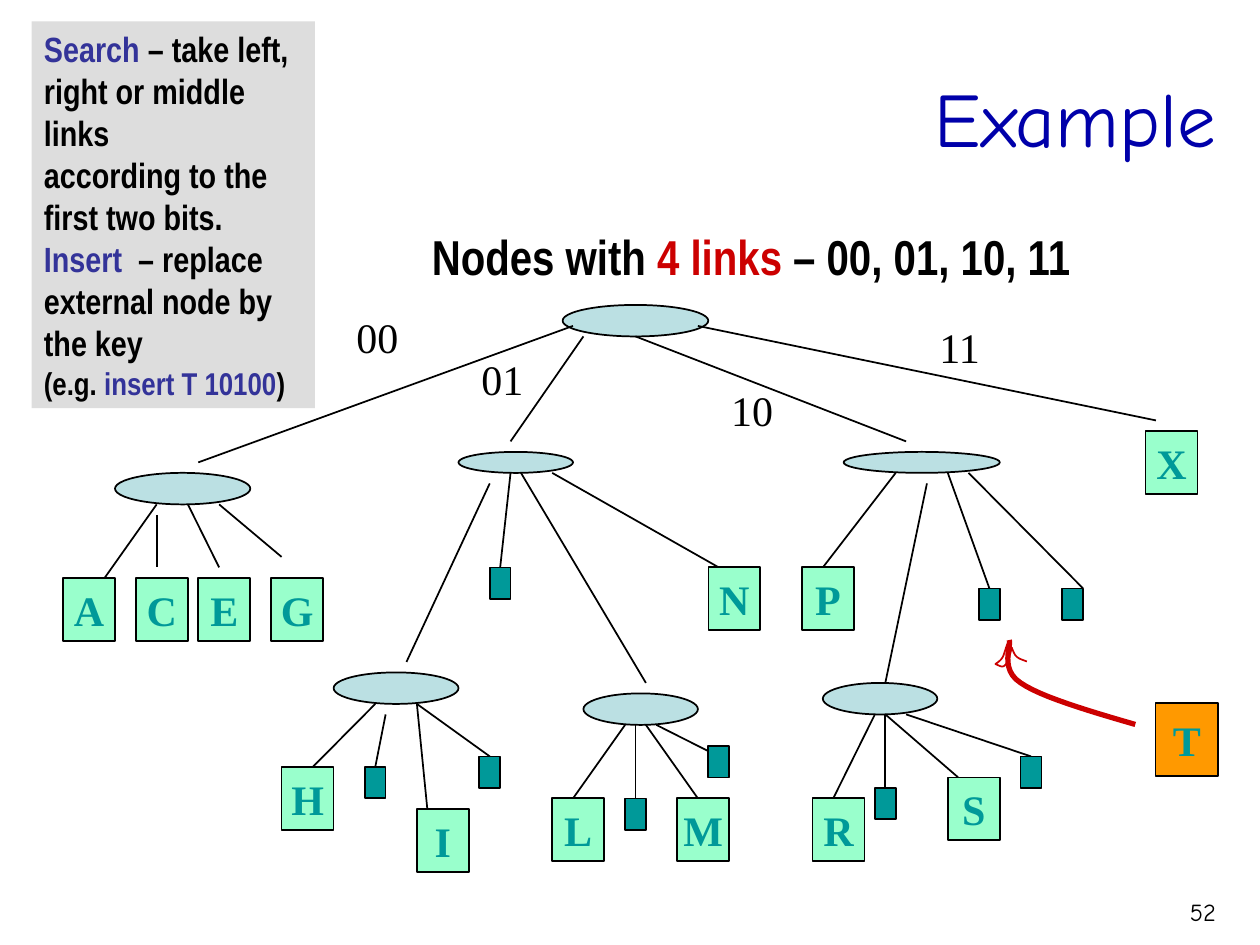
import dataclasses

import pptx
import pptx.dml.color
import pptx.enum.shapes
import pptx.enum.text
import pptx.oxml
import pptx.oxml.ns
import pptx.util
from pptx.util import Inches

ALIGN = pptx.enum.text.PP_ALIGN
ANCHOR = pptx.enum.text.MSO_ANCHOR
SHAPE = pptx.enum.shapes.MSO_SHAPE


@dataclasses.dataclass(frozen=True)
class Theme:
    title_font: str = "Comic Neue"
    note_font: str = "Arial Narrow"
    tree_font: str = "Times New Roman"
    title_size: int = 44
    heading_size: int = 28
    tree_size: int = 24
    note_size: int = 20
    example_size: int = 18
    number_size: int = 14
    title: str = "0000AA"
    ink: str = "000000"
    keyword: str = "333399"
    accent: str = "CC0000"
    note_fill: str = "DDDDDD"
    branch_fill: str = "BBE0E3"
    key_fill: str = "99FFCC"
    key_text: str = "009999"
    external_fill: str = "009999"
    insert_fill: str = "FF9900"


THEME = Theme()

TREE_COLUMNS, TREE_ROWS = 111, 54
BRANCHES = [
    (48, 0, 14, 3), (5, 16, 13, 3), (38, 14, 11, 2), (75, 14, 15, 2),
    (26, 35, 12, 3), (50, 37, 11, 3), (73, 36, 11, 3),
]
LINKS = [
    (49, 2, 13, 15), (50, 3, 43, 13), (55, 3, 81, 13), (61, 2, 105, 11),
    (9, 19, 4, 26), (9, 20, 9, 25), (12, 19, 15, 25), (15, 19, 21, 24),
    (41, 17, 33, 34), (43, 16, 42, 25), (44, 16, 56, 36), (47, 16, 63, 25),
    (80, 16, 73, 25), (83, 17, 79, 36), (85, 16, 89, 27), (87, 16, 98, 27),
    (30, 38, 24, 44), (31, 39, 30, 44), (34, 38, 35, 48), (34, 38, 41, 43),
    (54, 40, 49, 47), (55, 40, 55, 47), (56, 40, 61, 47), (57, 40, 63, 43),
    (78, 39, 74, 47), (79, 39, 79, 46), (79, 39, 86, 45), (81, 39, 93, 43),
]
KEYS = {
    "X": (104, 12), "A": (0, 26), "C": (7, 26), "E": (13, 26), "G": (20, 26),
    "N": (62, 25), "P": (71, 25), "H": (21, 44), "I": (34, 48), "L": (47, 47),
    "M": (59, 47), "R": (72, 47), "S": (85, 45),
}
EXTERNALS = [
    (41, 25), (88, 27), (96, 27), (29, 44), (40, 43), (54, 47), (62, 42), (78, 46), (92, 43),
]
LABELS = {"00": (27, 0), "01": (39, 4), "10": (63, 7), "11": (83, 1)}


def color(value):
    return pptx.dml.color.RGBColor.from_string(value)


def lengths(box):
    return [Inches(value) for value in box]


def style_font(paragraph, name, size, ink=THEME.ink, bold=False):
    paragraph.font.name = name
    paragraph.font.size = pptx.util.Pt(size)
    paragraph.font.color.rgb = color(ink)
    paragraph.font.bold = bold


def add_runs(paragraph, runs):
    for text, ink in runs:
        run = paragraph.add_run()
        run.text = text
        run.font.color.rgb = color(ink)


def add_box(shapes, kind, box, fill, outlined=True):
    shape = shapes.add_shape(kind, *lengths(box))
    shape.shadow.inherit = False
    shape.fill.solid()
    shape.fill.fore_color.rgb = color(fill)
    if outlined:
        style_line(shape, THEME.ink, 1)
    else:
        shape.line.fill.background()
    return shape


def style_line(shape, ink, width):
    shape.line.color.rgb = color(ink)
    shape.line.width = pptx.util.Pt(width)


def add_text(shapes, box, text=""):
    frame = shapes.add_textbox(*lengths(box)).text_frame
    frame.word_wrap = True
    paragraph = frame.paragraphs[0]
    paragraph.text = text
    return paragraph


def add_key(shapes, box, letter, fill):
    frame = add_box(shapes, SHAPE.RECTANGLE, box, fill).text_frame
    frame.word_wrap = False
    frame.vertical_anchor = ANCHOR.MIDDLE
    paragraph = frame.paragraphs[0]
    paragraph.text = letter
    paragraph.alignment = ALIGN.CENTER
    style_font(paragraph, THEME.tree_font, THEME.tree_size, THEME.key_text, True)


def add_link(shapes, start, end):
    connector = shapes.add_connector(
        pptx.enum.shapes.MSO_CONNECTOR.STRAIGHT, *lengths(start + end))
    style_line(connector, THEME.ink, 1)
    properties = connector._element.spPr
    properties.append(pptx.oxml.parse_xml(
        "<a:effectLst %s/>" % pptx.oxml.ns.nsdecls("a")))


def curve_points(start, segments, steps=12):
    points = [start]
    for first, second, end in segments:
        for step in range(1, steps + 1):
            t = step / steps
            weights = ((1 - t) ** 3, 3 * t * (1 - t) ** 2, 3 * t * t * (1 - t), t ** 3)
            points.append(tuple(
                sum(weight * value for weight, value in zip(weights, values))
                for values in zip(start, first, second, end)))
        start = end
    return points


def add_curve(shapes, origin, start, segments, width):
    points = [tuple(lengths((origin[0] + x, origin[1] + y)))
              for x, y in curve_points(start, segments)]
    builder = shapes.build_freeform(*points[0])
    builder.add_line_segments(points[1:], close=False)
    curve = builder.convert_to_shape()
    curve.shadow.inherit = False
    curve.fill.background()
    style_line(curve, THEME.accent, width)


def place_title(slide, box):
    title = slide.shapes.title
    title.left, title.top, title.width, title.height = lengths(box)
    frame = title.text_frame
    frame.text = "Example"
    frame.vertical_anchor = ANCHOR.BOTTOM
    paragraph = frame.paragraphs[0]
    paragraph.alignment = ALIGN.RIGHT
    style_font(paragraph, THEME.title_font, THEME.title_size, THEME.title)


def place_number(slide, box):
    paragraph = add_text(slide.shapes, box, "52")
    paragraph.alignment = ALIGN.RIGHT
    style_font(paragraph, THEME.title_font, THEME.number_size)


def place_note(slide, box):
    ink, keyword = THEME.ink, THEME.keyword
    lines = [
        [("Search ", keyword), ("– take left,", ink)],
        [("right or middle links", ink)],
        [("according to the first two bits.", ink)],
        [("Insert  ", keyword), ("– replace external node by the key", ink)],
        [("(e.g. ", ink), ("insert T 10100", keyword), (")", ink)],
    ]
    frame = add_box(slide.shapes, SHAPE.RECTANGLE, box, THEME.note_fill, False).text_frame
    frame.word_wrap = True
    frame.vertical_anchor = ANCHOR.TOP
    for index, runs in enumerate(lines):
        paragraph = frame.add_paragraph() if index else frame.paragraphs[0]
        paragraph.alignment = ALIGN.LEFT
        size = THEME.example_size if runs is lines[-1] else THEME.note_size
        style_font(paragraph, THEME.note_font, size, bold=True)
        add_runs(paragraph, runs)


def place_heading(slide, box):
    paragraph = add_text(slide.shapes, box)
    style_font(paragraph, THEME.note_font, THEME.heading_size, bold=True)
    add_runs(paragraph, [("Nodes with ", THEME.ink), ("4 links", THEME.accent),
                         (" – 00, 01, 10, 11", THEME.ink)])


def place_tree(slide, box):
    left, top, width, height = box
    column, row = width / TREE_COLUMNS, height / TREE_ROWS
    shapes = slide.shapes.add_group_shape().shapes

    def point(x, y):
        return left + x * column, top + y * row

    def cell(x, y, columns, rows):
        return point(x, y) + (columns * column, rows * row)

    for branch in BRANCHES:
        add_box(shapes, SHAPE.OVAL, cell(*branch), THEME.branch_fill)
    for link in LINKS:
        add_link(shapes, point(*link[:2]), point(*link[2:]))
    for letter, place in KEYS.items():
        add_key(shapes, cell(*place, 5, 6), letter, THEME.key_fill)
    for place in EXTERNALS:
        add_box(shapes, SHAPE.RECTANGLE, cell(*place, 2, 3), THEME.external_fill)
    for bits, place in LABELS.items():
        style_font(add_text(shapes, cell(*place, 8, 6), bits), THEME.tree_font, THEME.tree_size)


def place_insertion(slide, box):
    left, top, width, height = box
    shapes = slide.shapes.add_group_shape().shapes
    add_key(shapes, (left + width - 0.5, top + height - 0.58, 0.5, 0.58), "T", THEME.insert_fill)
    add_curve(shapes, (left, top), (1.11, 0.67), [
        ((0.73, 0.56), (0.36, 0.45), (0.2, 0.34)),
        ((0.03, 0.23), (0.13, 0.04), (0.11, 0))], 3)
    add_curve(shapes, (left, top), (0.1, 0.02), [
        ((0.06, 0.11), (0.08, 0.14), (0, 0.19)),
        ((0.05, 0.21), (0.06, 0.23), (0.1, 0.17)),
        ((0.11, 0.14), (0.13, 0.06), (0.13, 0.06)),
        ((0.16, 0.14), (0.17, 0.14), (0.25, 0.17))], 1)


def main():
    presentation = pptx.Presentation()
    presentation.slide_width, presentation.slide_height = lengths((10, 7.5))
    slide = presentation.slides.add_slide(presentation.slide_layouts[5])
    place_title(slide, (0.5, 0.17, 9.25, 1.17))
    place_number(slide, (8.75, 7.07, 1, 0.35))
    place_note(slide, (0.25, 0.17, 2.25, 3.07))
    place_tree(slide, (0.5, 2.42, 9.17, 4.5))
    place_insertion(slide, (7.9, 5.08, 1.77, 1.08))
    place_heading(slide, (3.33, 1.75, 6.27, 0.57))
    presentation.save("out.pptx")


if __name__ == "__main__":
    main()
